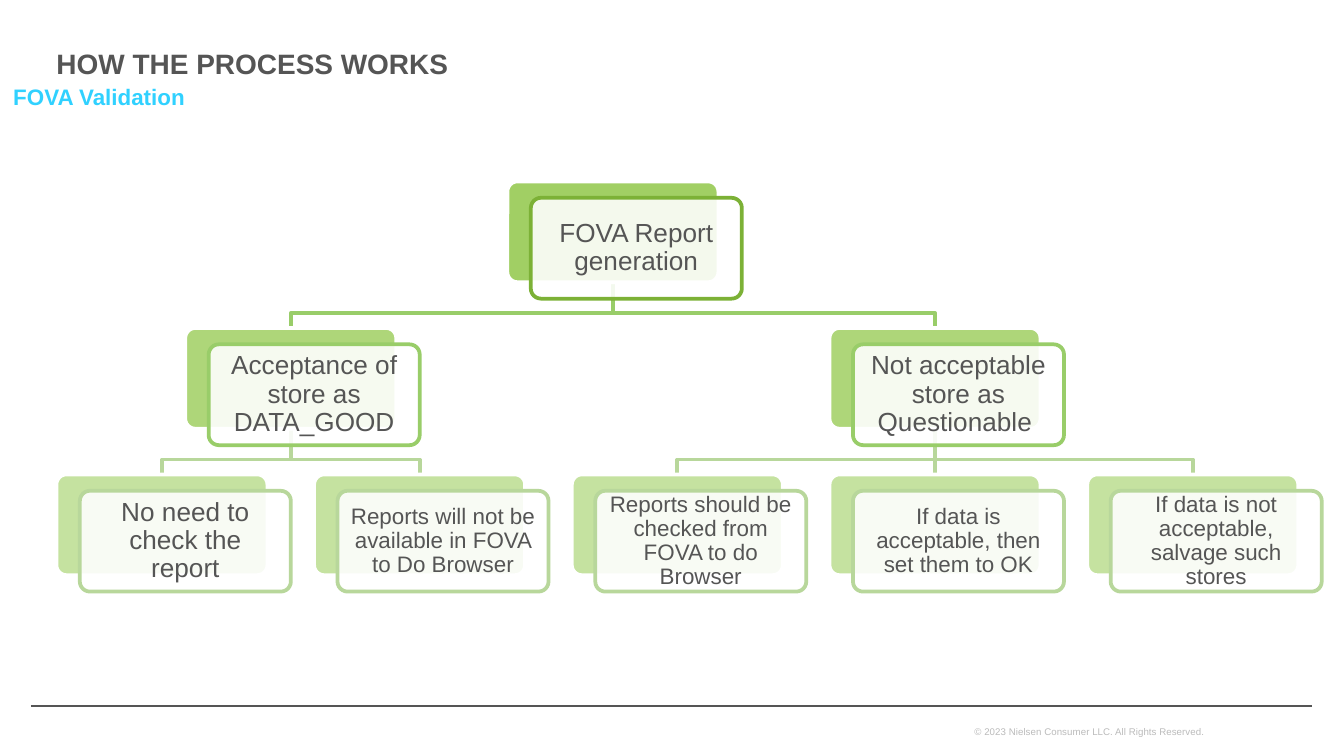
import pptx
import pptx.util
import pptx.dml.color
import pptx.enum.shapes
import pptx.enum.text
import pptx.oxml
import pptx.oxml.ns

Inches = pptx.util.Inches
Pt = pptx.util.Pt
Rgb = pptx.dml.color.RGBColor.from_string
Shape = pptx.enum.shapes.MSO_SHAPE
Anchor = pptx.enum.text.MSO_ANCHOR
Align = pptx.enum.text.PP_ALIGN

theme = {
    "font": "Arial",
    "ink": "555555", "sub": "30D1FF", "note": "BBBBBB",
    "card": "8AC43E", "white": "FFFFFF",
    "edge": ["7CB136", "99CD69", "B8D79B"],
    "tint": [80, 69, 49], "glass": 89,
    "title": 15, "body": 12, "large": 14, "small": 5.25,
}


def write(shape, text, size, color, bold, pads, anchor, align, space):
    frame = shape.text_frame
    frame.text = text
    para = frame.paragraphs[0]
    box = {
        "word_wrap": True, "auto_size": pptx.enum.text.MSO_AUTO_SIZE.NONE,
        "vertical_anchor": anchor,
        "margin_left": Inches(pads[0]), "margin_right": Inches(pads[0]),
        "margin_top": Inches(pads[1]), "margin_bottom": Inches(pads[1]),
    }
    line = {"alignment": align, "line_spacing": space, "space_before": Pt(0)}
    font = {"name": theme["font"], "size": Pt(size), "bold": bold}
    for part, values in ((frame, box), (para, line), (para.font, font)):
        for key, value in values.items():
            setattr(part, key, value)
    para.font.color.rgb = Rgb(color)


def card(left, top, fill, alpha, edge):
    shape = slide.shapes.add_shape(
        Shape.ROUNDED_RECTANGLE, Inches(left), Inches(top), Inches(wide), Inches(high))
    shape.adjustments[0] = 0.1
    shape.shadow.inherit = False
    shape.fill.solid()
    shape.fill.fore_color.rgb = Rgb(fill)
    tone = shape.fill._xPr.find(".//" + pptx.oxml.ns.qn("a:srgbClr"))
    tone.append(pptx.oxml.parse_xml(
        f'<a:alpha {pptx.oxml.ns.nsdecls("a")} val="{alpha * 1000}"/>'))
    shape.line.color.rgb = Rgb(edge)
    shape.line.width = Pt(2)
    return shape


deck = pptx.Presentation()
deck.slide_width = Inches(10)
deck.slide_height = Inches(10 * 9 / 16)
slide = deck.slides.add_slide(deck.slide_layouts[5])

title = slide.shapes.title
place = {"left": 0.32, "top": 0.25, "width": 8.93, "height": 0.35}
for key, value in place.items():
    setattr(title, key, Inches(value))
write(title, "HOW THE PROCESS WORKS", theme["title"], theme["ink"], True,
      (0.1, 0), Anchor.BOTTOM, Align.LEFT, 0.95)

labels = [
    ((0, 0.62, 8.92, 0.29), "FOVA Validation", theme["body"], theme["sub"], True, (0.1, 0)),
    ((7.25, 5.35, 2.13, 0.19), "© 2023 Nielsen Consumer LLC. All Rights Reserved.",
     theme["small"], theme["note"], False, (0, 0.05)),
]
for area, text, size, color, bold, pads in labels:
    label = slide.shapes.add_textbox(*map(Inches, area))
    write(label, text, size, color, bold, pads, Anchor.TOP, Align.LEFT, 1.0)

wide, high = 1.57, 0.75
left, top = 0.42, 1.35
step, drop = (8.09 - left) / 4, 1.09
shift = wide / 9
lower = shift * 0.7
bend = 0.23

large, body = theme["large"], theme["body"]
nodes = [
    (0, 1.75, None, large, "FOVA Report generation"),
    (1, 0.5, 1.75, large, "Acceptance of store as DATA_GOOD"),
    (2, 0, 0.5, large, "No need to check the report"),
    (2, 1, 0.5, body, "Reports will not be available in FOVA to Do Browser"),
    (1, 3, 1.75, large, "Not acceptable store as Questionable "),
    (2, 2, 3, body, "Reports should be checked from FOVA to do Browser"),
    (2, 3, 3, body, "If data is acceptable, then set them to OK"),
    (2, 4, 3, body, "If data is not acceptable, salvage such stores"),
]

lines = [((0.23, 5.25), (9.76, 5.25), theme["ink"], 1)]
for level, col, root, size, text in nodes:
    if root is None:
        continue
    start = left + step * root + wide / 2
    end = left + step * col + wide / 2
    foot = top + drop * (level - 1) + high
    head = top + drop * level
    color = theme["edge"][level]
    if root == col:
        lines.append(((start, foot), (end, head), color, 2))
        continue
    path = slide.shapes.build_freeform(Inches(start), Inches(foot))
    turns = [(start, foot + bend), (end, foot + bend), (end, head)]
    path.add_line_segments([(Inches(x), Inches(y)) for x, y in turns], close=False)
    link = path.convert_to_shape()
    link.shadow.inherit = False
    link.fill.background()
    link.line.color.rgb = Rgb(color)
    link.line.width = Pt(2)

for start, end, color, width in lines:
    line = slide.shapes.add_connector(
        pptx.enum.shapes.MSO_CONNECTOR.STRAIGHT, *map(Inches, start + end))
    line.line.color.rgb = Rgb(color)
    line.line.width = Pt(width)
    line._element.spPr.append(pptx.oxml.parse_xml(
        f'<a:effectLst {pptx.oxml.ns.nsdecls("a")}/>'))

for level, col, root, size, text in nodes:
    x = left + step * col
    y = top + drop * level
    card(x, y, theme["card"], theme["tint"][level], theme["white"])
    front = card(x + shift, y + lower, theme["white"], theme["glass"], theme["edge"][level])
    write(front, text, size, theme["ink"], False, (0.07, 0.07),
          Anchor.MIDDLE, Align.CENTER, 0.9)

deck.save("out.pptx")
